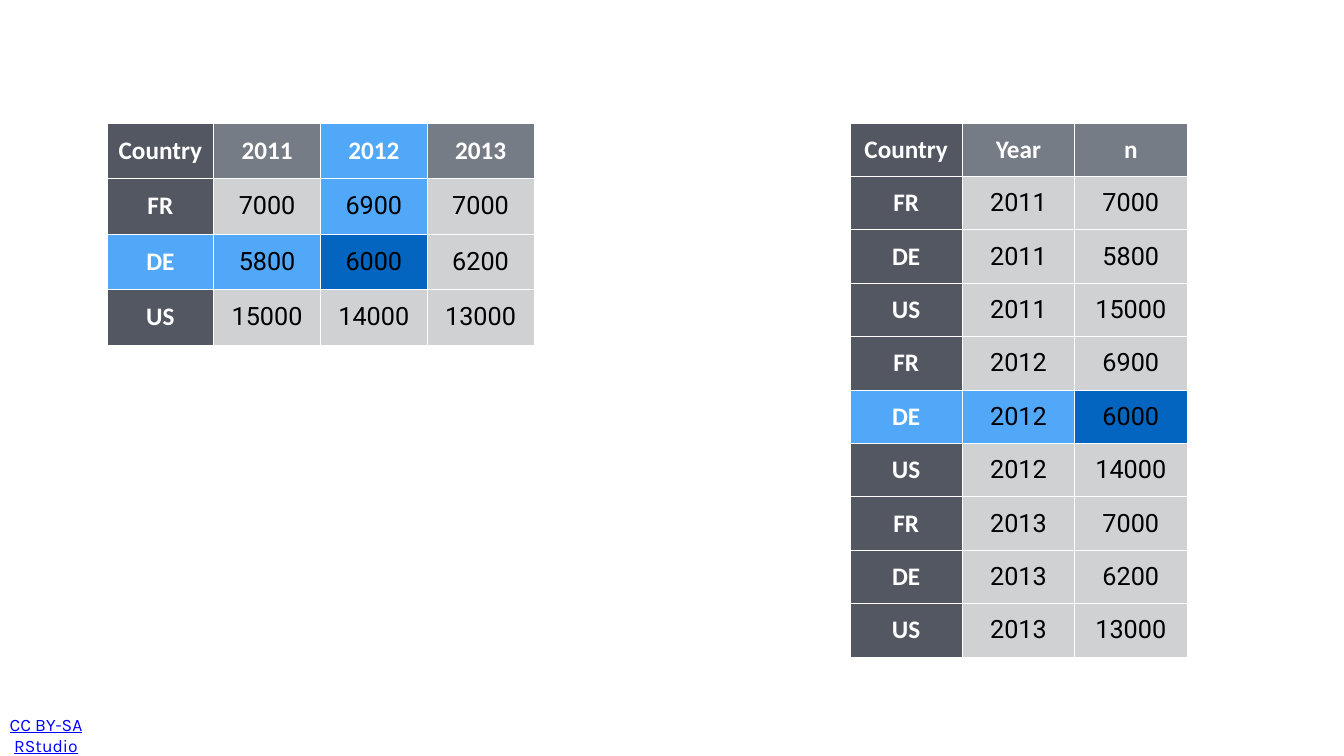
from pptx import Presentation
from pptx.dml.color import RGBColor
from pptx.enum.text import MSO_ANCHOR as Anchor, PP_ALIGN as Align
from pptx.oxml import parse_xml
from pptx.oxml.ns import nsdecls
from pptx.util import Pt

# Content: the same counts in wide and in long form
years = ["2011", "2012", "2013"]
counts = {
    "FR": ["7000", "6900", "7000"],
    "DE": ["5800", "6000", "6200"],
    "US": ["15000", "14000", "13000"],
}
wide_rows = [["Country", *years]] + [[country, *values] for country, values in counts.items()]
long_rows = [["Country", "Year", "n"]] + [
    [country, year, values[index]]
    for index, year in enumerate(years)
    for country, values in counts.items()
]
credit = "CC BY-SA RStudio"

# Cells leading to the highlighted value
tables = [
    {"rows": wide_rows, "box": (107, 123, 427, 222), "target": (2, 2),
     "trail": {(2, 0), (2, 1), (0, 2), (1, 2)}},
    {"rows": long_rows, "box": (850, 123, 337, 534), "target": (5, 2),
     "trail": {(5, 0), (5, 1)}},
]

WHITE, BLACK, LINK = "FFFFFF", "000000", "0000FF"
DARK, HEADER, BODY = "535761", "767C85", "D0D1D2"
TRAIL, TARGET = "51A8F9", "0365C0"


def px(length):
    return round(length * 914400 / 50.4)


def rgb(color):
    return RGBColor.from_string(color)


def write(frame, text, font, size, color, bold=False, underline=False):
    paragraph = frame.paragraphs[0]
    paragraph.alignment = Align.CENTER
    run = paragraph.add_run()
    run.text = text
    run.font.name = font
    run.font.size = Pt(size)
    run.font.color.rgb = rgb(color)
    run.font.bold = bold
    run.font.underline = underline


def set_margins(holder, margin):
    holder.margin_left = holder.margin_right = px(margin)
    holder.margin_top = holder.margin_bottom = px(margin)


def add_borders(cell, color, width):
    properties = cell._tc.get_or_add_tcPr()
    for index, side in enumerate(("lnL", "lnR", "lnT", "lnB")):
        properties.insert(index, parse_xml(
            f'<a:{side} {nsdecls("a")} w="{Pt(width)}"><a:solidFill>'
            f'<a:srgbClr val="{color}"/></a:solidFill></a:{side}>'))


def cell_fill(row, column, target, trail):
    if (row, column) == target:
        return TARGET
    if (row, column) in trail:
        return TRAIL
    if column == 0:
        return DARK
    return HEADER if row == 0 else BODY


def add_data_table(slide, rows, box, target, trail):
    left, top, width, height = map(px, box)
    table = slide.shapes.add_table(len(rows), len(rows[0]), left, top, width, height).table
    table.first_row = table.horz_banding = False
    for column in table.columns:
        column.width = width // len(rows[0])
    for row in table.rows:
        row.height = height // len(rows)
    for r, values in enumerate(rows):
        for c, value in enumerate(values):
            cell = table.cell(r, c)
            cell.vertical_anchor = Anchor.MIDDLE
            set_margins(cell, 3)
            cell.fill.solid()
            cell.fill.fore_color.rgb = rgb(cell_fill(r, c, target, trail))
            add_borders(cell, WHITE, 1)
            label = r == 0 or c == 0
            write(cell.text_frame, value, "Calibri" if label else "Roboto", 36,
                  WHITE if label else BLACK, bold=label)


def main():
    presentation = Presentation()
    presentation.slide_width, presentation.slide_height = px(1344), px(756)
    slide = presentation.slides.add_slide(presentation.slide_layouts[6])

    # Licence line in the bottom corner
    frame = slide.shapes.add_textbox(px(4), px(714), px(84), px(42)).text_frame
    frame.word_wrap = True
    frame.vertical_anchor = Anchor.MIDDLE
    set_margins(frame, 4)
    write(frame, credit, "Karla", 25, LINK, underline=True)

    # Wide table on the left, long table on the right
    for table in tables:
        add_data_table(slide, **table)

    presentation.save("out.pptx")


if __name__ == "__main__":
    main()
